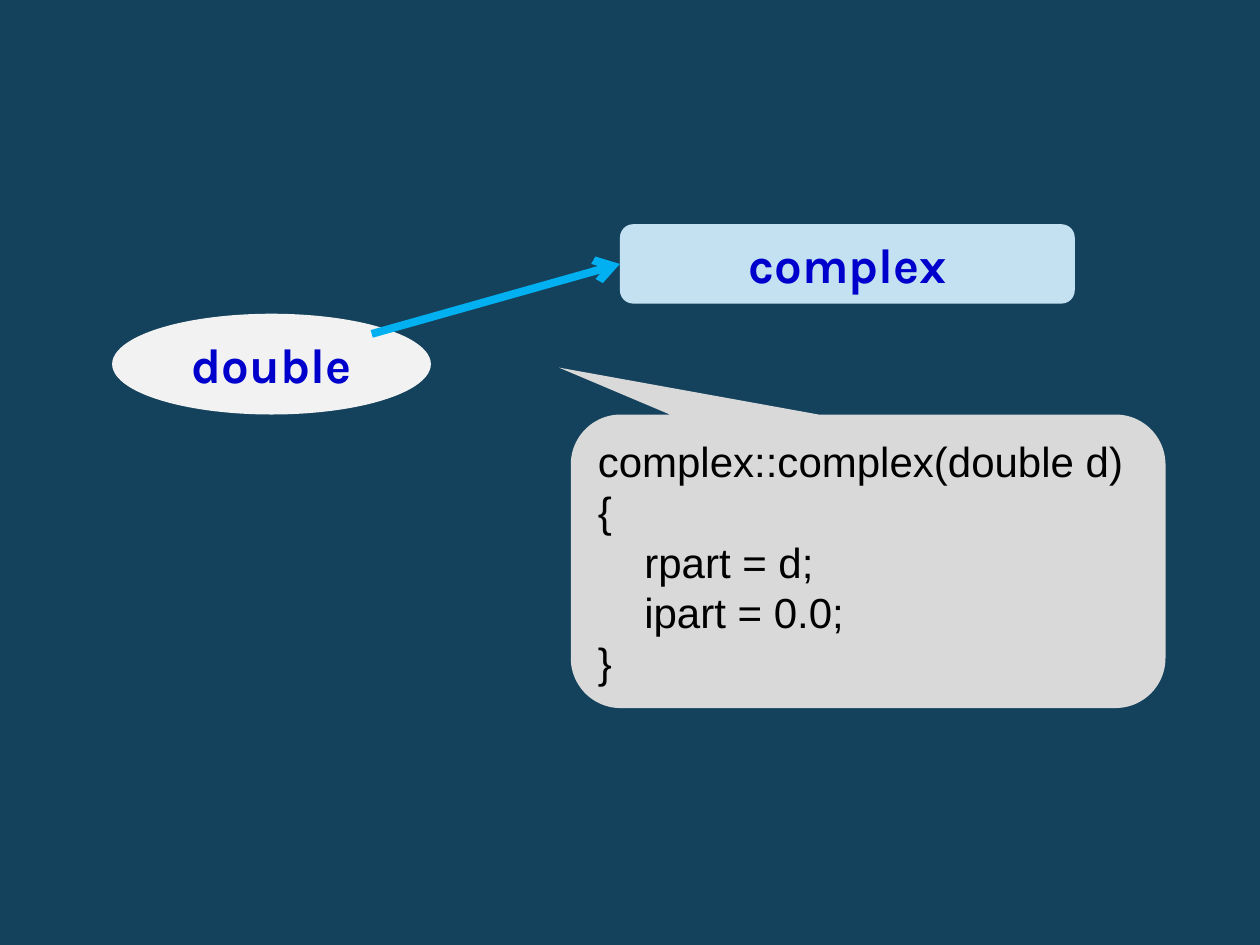
from dataclasses import dataclass

from lxml.etree import SubElement
from pptx import Presentation
from pptx.dml.color import RGBColor
from pptx.enum.shapes import MSO_CONNECTOR, MSO_SHAPE
from pptx.enum.text import MSO_ANCHOR, PP_ALIGN
from pptx.oxml.ns import qn
from pptx.util import Inches, Pt


@dataclass(frozen=True)
class Theme:
    back: str = "14425D"
    source: str = "F2F2F2"
    target: str = "C4E1F2"
    note: str = "D9D9D9"
    arrow: str = "00B0F0"
    label: str = "0000CC"
    ink: str = "000000"
    head: str = "Karla"
    body: str = "Arial"
    big: float = 28
    mid: float = 24
    stroke: float = 4.5


THEME = Theme()
WIDE, HIGH = Inches(10), Inches(7.5)
COLS, ROWS = 100, 75  # square grid cells
CODE = """complex::complex(double d)
{
    rpart = d;
    ipart = 0.0;
}"""


def place(*cells):
    """Turn column, row pairs into slide lengths."""
    units = (WIDE / COLS, HIGH / ROWS)
    return [round(n * units[i % 2]) for i, n in enumerate(cells)]


def paint(fill, color):
    fill.solid()
    fill.fore_color.rgb = RGBColor.from_string(color)


def write(shape, text, font, size, color, bold=False, align=PP_ALIGN.LEFT):
    frame = shape.text_frame
    frame.word_wrap = True
    frame.vertical_anchor = MSO_ANCHOR.MIDDLE
    frame.text = text
    for para in frame.paragraphs:
        para.alignment = align
        for run in para.runs:
            run.font.name, run.font.size, run.font.bold = font, Pt(size), bold
            run.font.color.rgb = RGBColor.from_string(color)


def block(slide, kind, box, color):
    shape = slide.shapes.add_shape(kind, *place(*box))
    shape.shadow.inherit = False
    paint(shape.fill, color)
    shape.line.fill.background()
    return shape


def node(slide, kind, box, text, color):
    """Draw a type name in a filled shape."""
    shape = block(slide, kind, box, color)
    write(shape, text, font=THEME.head, size=THEME.big, color=THEME.label,
          bold=True, align=PP_ALIGN.CENTER)
    return shape


def link(slide, start, goal):
    """Draw an arrow from a point to the left side of a shape."""
    end = (goal.left, goal.top + goal.height // 2)
    line = slide.shapes.add_connector(MSO_CONNECTOR.STRAIGHT, *place(*start), *end)
    line.end_connect(goal, 1)
    paint(line.line.fill, THEME.arrow)
    line.line.width = Pt(THEME.stroke)
    SubElement(line.line._get_or_add_ln(), qn("a:tailEnd"), type="arrow")
    SubElement(line._element.spPr, qn("a:effectLst"))


def note(slide, box, text):
    """Draw the code callout, its tip up and to the left."""
    shape = block(slide, MSO_SHAPE.ROUNDED_RECTANGULAR_CALLOUT, box, THEME.note)
    for i, share in enumerate((-0.52, -0.66, 0.17)):
        shape.adjustments[i] = share
    write(shape, text, font=THEME.body, size=THEME.mid, color=THEME.ink)


def main():
    deck = Presentation()
    deck.slide_width, deck.slide_height = WIDE, HIGH
    slide = deck.slides.add_slide(deck.slide_layouts[6])
    paint(slide.background.fill, THEME.back)

    # Conversion from one type to the other
    node(slide, MSO_SHAPE.OVAL, (8.9, 24.9, 25.3, 8), "double", THEME.source)
    goal = node(slide, MSO_SHAPE.ROUNDED_RECTANGLE, (49.2, 17.8, 36.1, 6.3),
                "complex", THEME.target)
    link(slide, (29.5, 26.5), goal)

    # Constructor that performs it
    note(slide, (45.3, 32.9, 47.2, 23.3), CODE)
    deck.save("out.pptx")


if __name__ == "__main__":
    main()
